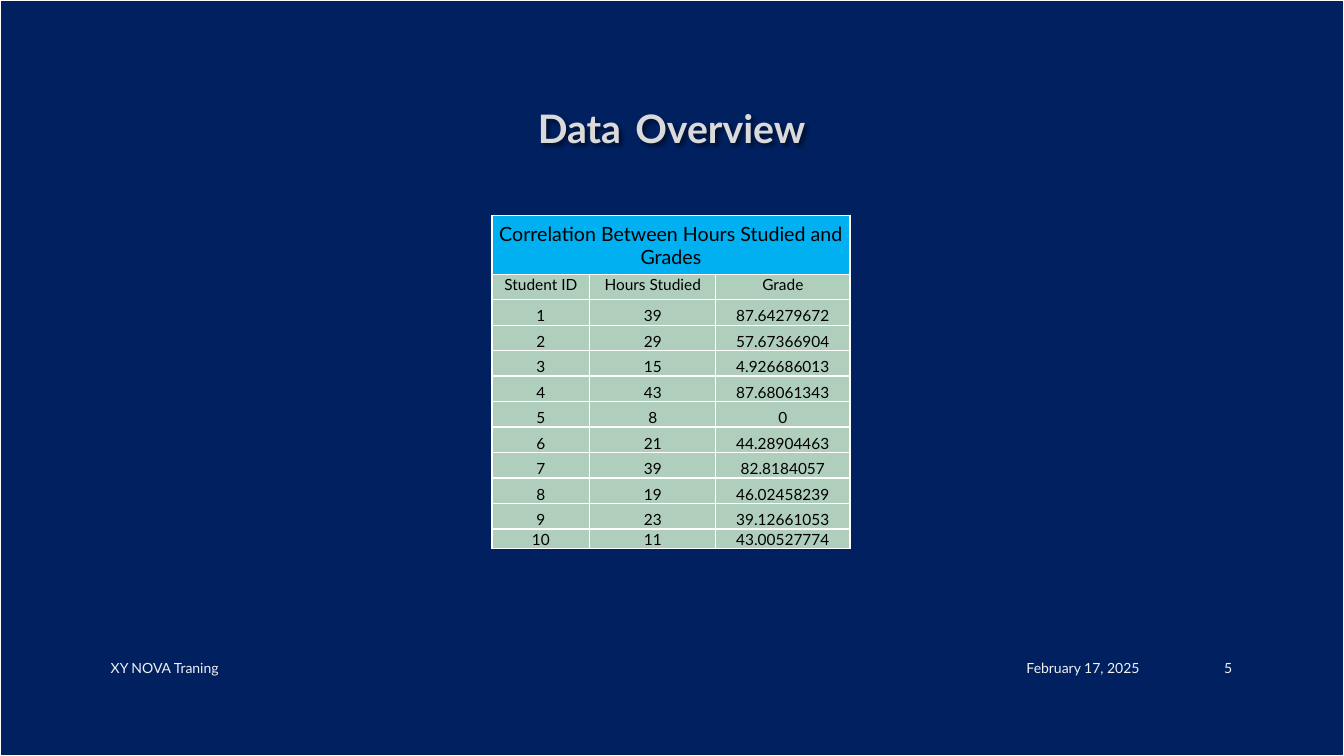
from dataclasses import dataclass

from lxml import etree
from pptx import Presentation
from pptx.dml.color import RGBColor
from pptx.enum.shapes import MSO_SHAPE
from pptx.enum.text import MSO_ANCHOR, MSO_AUTO_SIZE, PP_ALIGN
from pptx.oxml import parse_xml
from pptx.oxml.ns import qn
from pptx.util import Inches, Pt

LEFT, CENTER, RIGHT = PP_ALIGN.LEFT, PP_ALIGN.CENTER, PP_ALIGN.RIGHT
TOP, MIDDLE, BOTTOM = MSO_ANCHOR.TOP, MSO_ANCHOR.MIDDLE, MSO_ANCHOR.BOTTOM
RECT, FIXED = MSO_SHAPE.RECTANGLE, MSO_AUTO_SIZE.NONE

FONT = "Lato"
COLORS = {
    "black": "000000", "navy": "002060", "white": "FFFFFF",
    "title": "DADADA", "edge": "404040", "sky": "00B0F0",
    "sage": "AFCEBC", "foot": "F2F2F2",
}
NS = 'xmlns:a="http://schemas.openxmlformats.org/drawingml/2006/main"'
WIDTHS = (0.97, 1.25, 1.33)
HEADS = ("Student ID", "Hours Studied", "Grade")


@dataclass
class Footer:
    text: str
    left: float
    width: float
    align: PP_ALIGN


@dataclass
class Student:
    hours: int
    grade: str


FOOTERS = (
    Footer("February 17, 2025", 8.4, 3, RIGHT),
    Footer("XY NOVA Traning", 1, 7.3, LEFT),
    Footer("5", 11.5, 0.82, RIGHT),
)
STUDENTS = (
    Student(39, "87.64279672"),
    Student(29, "57.67366904"),
    Student(15, "4.926686013"),
    Student(43, "87.68061343"),
    Student(8, "0"),
    Student(21, "44.28904463"),
    Student(39, "82.8184057"),
    Student(19, "46.02458239"),
    Student(23, "39.12661053"),
    Student(11, "43.00527774"),
)


def color(name: str) -> RGBColor:
    return RGBColor.from_string(COLORS[name])


def write(par, text: str, *, size: float, ink: str = "black",
          bold: bool = False, align: PP_ALIGN = CENTER):
    par.alignment = align
    run = par.add_run()
    run.text = text
    run.font.name = FONT
    run.font.size = Pt(size)
    run.font.bold = bold
    run.font.color.rgb = color(ink)
    return run


def outline(run) -> None:
    run.font._element.insert(0, parse_xml(
        f'<a:ln {NS} w="9525"><a:solidFill><a:srgbClr val="{COLORS["edge"]}">'
        '<a:alpha val="10000"/></a:srgbClr></a:solidFill></a:ln>'))


def shade(shape) -> None:
    shape._element.spPr.append(parse_xml(
        f'<a:effectLst {NS}><a:outerShdw blurRad="38100" dist="25400" '
        f'dir="2700000"><a:srgbClr val="{COLORS["black"]}">'
        '<a:alpha val="50000"/></a:srgbClr></a:outerShdw></a:effectLst>'))


def border(cell) -> None:
    props = cell._tc.get_or_add_tcPr()
    for spot, side in enumerate(("lnL", "lnR", "lnT", "lnB")):
        line = parse_xml(f'<a:{side} {NS} w="12700"/>')
        fill = etree.SubElement(line, qn("a:solidFill"))
        etree.SubElement(fill, qn("a:srgbClr"), val=COLORS["white"])
        props.insert(spot, line)


def fill_cell(cell, text: str, *, size: float, fill: str,
              anchor: MSO_ANCHOR) -> None:
    cell.margin_left = cell.margin_right = cell.margin_top = Inches(0.01)
    cell.margin_bottom = 0
    cell.vertical_anchor = anchor
    cell.fill.solid()
    cell.fill.fore_color.rgb = color(fill)
    write(cell.text_frame.paragraphs[0], text, size=size)
    border(cell)


def draw_back(slide, width: int, height: int) -> None:
    slide.background.fill.solid()
    slide.background.fill.fore_color.rgb = color("black")
    back = slide.shapes.add_shape(RECT, 0, 0, width, height)
    back.shadow.inherit = False
    back.fill.solid()
    back.fill.fore_color.rgb = color("navy")
    back.line.color.rgb = color("white")
    back.line.width = Pt(1.25)
    slide.shapes._spTree.insert(2, back._element)


def draw_title(slide) -> None:
    title = slide.shapes.title
    title.left, title.top = Inches(1), Inches(0.67)
    title.width, title.height = Inches(11.32), Inches(1.06)
    shade(title)
    frame = title.text_frame
    frame.auto_size = FIXED
    frame.vertical_anchor = MIDDLE
    for text, size, bold in (("Data", 28, True), (" ", 40, False),
                             ("Overview", 28, True)):
        outline(write(frame.paragraphs[0], text, size=size, ink="title",
                      bold=bold))


def draw_table(slide) -> None:
    rows = [HEADS] + [(str(num), str(pupil.hours), pupil.grade)
                      for num, pupil in enumerate(STUDENTS, 1)]
    highs = [0.58] + [2.53 / 10] * 10 + [0.19]
    table = slide.shapes.add_table(
        len(highs), len(WIDTHS), Inches(4.88), Inches(2.14),
        Inches(sum(WIDTHS)), Inches(sum(highs))).table
    table.first_row = table.horz_banding = False
    for col, width in zip(table.columns, WIDTHS):
        col.width = Inches(width)
    for row, high in zip(table.rows, highs):
        row.height = Inches(high)
    head = table.cell(0, 0)
    head.merge(table.cell(0, 2))
    fill_cell(head, "Correlation Between Hours Studied and Grades",
              size=14, fill="sky", anchor=MIDDLE)
    for col in (1, 2):
        border(table.cell(0, col))
    for row, texts in enumerate(rows, 1):
        for col, text in enumerate(texts):
            fill_cell(table.cell(row, col), text, size=11, fill="sage",
                      anchor=TOP if row == 1 else BOTTOM)


def draw_footer(slide, foot: Footer) -> None:
    box = slide.shapes.add_textbox(Inches(foot.left), Inches(6.43),
                                   Inches(foot.width), Inches(0.4))
    frame = box.text_frame
    frame.word_wrap = True
    frame.vertical_anchor = MIDDLE
    write(frame.paragraphs[0], foot.text, size=10, ink="foot",
          align=foot.align)


def main() -> None:
    deck = Presentation()
    deck.slide_width, deck.slide_height = Inches(13.33), Inches(7.5)
    slide = deck.slides.add_slide(deck.slide_layouts[5])
    draw_back(slide, deck.slide_width, deck.slide_height)
    draw_title(slide)
    draw_table(slide)
    for foot in FOOTERS:
        draw_footer(slide, foot)
    deck.save("out.pptx")


if __name__ == "__main__":
    main()
